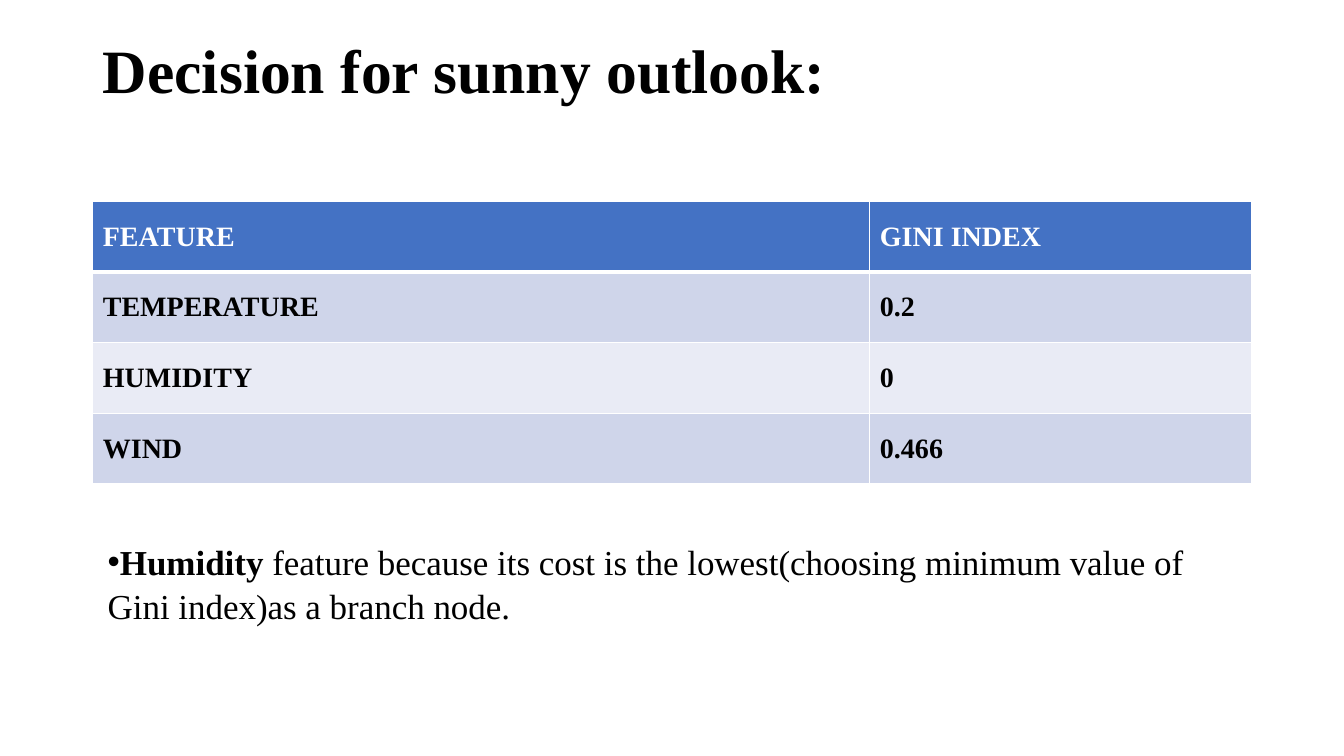
from dataclasses import dataclass

from lxml import etree
from pptx import Presentation
from pptx.dml.color import RGBColor
from pptx.enum.text import MSO_ANCHOR, MSO_AUTO_SIZE, PP_ALIGN
from pptx.oxml.ns import qn
from pptx.util import Pt

TOP = MSO_ANCHOR.TOP
MIDDLE = MSO_ANCHOR.MIDDLE
NO_AUTOFIT = MSO_AUTO_SIZE.NONE
LEFT = PP_ALIGN.LEFT

TITLE = "Decision for sunny outlook:"
GINI_ROWS = [
    ("FEATURE", "GINI INDEX"),
    ("TEMPERATURE", "0.2"),
    ("HUMIDITY", "0"),
    ("WIND", "0.466"),
]
CONCLUSION = [
    ("Humidity", True),
    (" feature because its cost is the lowest(choosing minimum value of Gini index)as a branch node.", False),
]

SLIDE_SIZE = (960, 540)
TITLE_BOX = (66.24, 28.8, 826.56, 88.56)
TABLE_ORIGIN = (66.24, 144)
COLUMN_WIDTHS = (555.12, 272.88)
ROW_HEIGHT = 50.4
CONCLUSION_BOX = (69.84, 380.88, 815.76, 67.68)
CELL_INSET = 7.2


@dataclass(frozen=True)
class Theme:
    """Fonts, type sizes, line widths and colours of the slide."""

    font: str = "Times New Roman"
    title_size: float = 44
    table_size: float = 20
    body_size: float = 25
    thin_line: float = 1
    header_line: float = 3
    text: str = "000000"
    white: str = "FFFFFF"
    header: str = "4472C4"
    bands: tuple = ("CFD5EA", "E9EBF5")


THEME = Theme()


def add_run(paragraph, text, size, color, bold):
    """Add one formatted run to a paragraph."""
    run = paragraph.add_run()
    run.text = text
    run.font.name = THEME.font
    run.font.size = Pt(size)
    run.font.bold = bold
    run.font.color.rgb = RGBColor.from_string(color)


def set_borders(cell, widths):
    """Draw white cell borders from a mapping of side to width."""
    properties = cell._tc.get_or_add_tcPr()
    for position, (side, width) in enumerate(widths.items()):
        line = etree.Element(qn(f"a:ln{side}"), w=str(int(Pt(width))))
        fill = etree.SubElement(line, qn("a:solidFill"))
        etree.SubElement(fill, qn("a:srgbClr"), val=THEME.white)
        properties.insert(position, line)


def add_title(slide):
    """Place and format the title placeholder."""
    title = slide.shapes.title
    title.left, title.top, title.width, title.height = map(Pt, TITLE_BOX)
    frame = title.text_frame
    frame.auto_size = NO_AUTOFIT
    frame.vertical_anchor = TOP
    frame.margin_top = Pt(0)
    paragraph = frame.paragraphs[0]
    paragraph.alignment = LEFT
    paragraph.line_spacing = 0.9
    add_run(paragraph, TITLE, THEME.title_size, THEME.text, True)


def add_gini_table(slide):
    """Add the table of Gini indexes by feature."""
    size = (sum(COLUMN_WIDTHS), ROW_HEIGHT * len(GINI_ROWS))
    table = slide.shapes.add_table(
        len(GINI_ROWS), len(COLUMN_WIDTHS), *map(Pt, TABLE_ORIGIN + size)
    ).table
    for column, width in zip(table.columns, COLUMN_WIDTHS):
        column.width = Pt(width)
    for row_index, values in enumerate(GINI_ROWS):
        is_header = row_index == 0
        fill = THEME.header if is_header else THEME.bands[(row_index - 1) % 2]
        color = THEME.white if is_header else THEME.text
        widths = dict.fromkeys("LRTB", THEME.thin_line)
        if is_header:
            widths["B"] = THEME.header_line
        elif row_index == 1:
            widths["T"] = THEME.header_line
        for column_index, value in enumerate(values):
            cell = table.cell(row_index, column_index)
            cell.fill.solid()
            cell.fill.fore_color.rgb = RGBColor.from_string(fill)
            cell.vertical_anchor = MIDDLE
            cell.margin_left = cell.margin_right = Pt(CELL_INSET)
            cell.margin_top = cell.margin_bottom = Pt(CELL_INSET)
            set_borders(cell, widths)
            add_run(cell.text_frame.paragraphs[0], value, THEME.table_size, color, True)


def add_conclusion(slide):
    """Add the bulleted conclusion below the table."""
    frame = slide.shapes.add_textbox(*map(Pt, CONCLUSION_BOX)).text_frame
    frame.word_wrap = True
    paragraph = frame.paragraphs[0]
    paragraph.line_spacing = 1.05
    properties = paragraph._p.get_or_add_pPr()
    etree.SubElement(properties, qn("a:buFont"), typeface="Arial")
    etree.SubElement(properties, qn("a:buChar"), char="•")
    for text, bold in CONCLUSION:
        add_run(paragraph, text, THEME.body_size, THEME.text, bold)


def main():
    """Build and save the slide."""
    presentation = Presentation()
    presentation.slide_width, presentation.slide_height = map(Pt, SLIDE_SIZE)
    slide = presentation.slides.add_slide(presentation.slide_layouts[5])
    add_title(slide)
    add_gini_table(slide)
    add_conclusion(slide)
    presentation.save("out.pptx")


if __name__ == "__main__":
    main()
